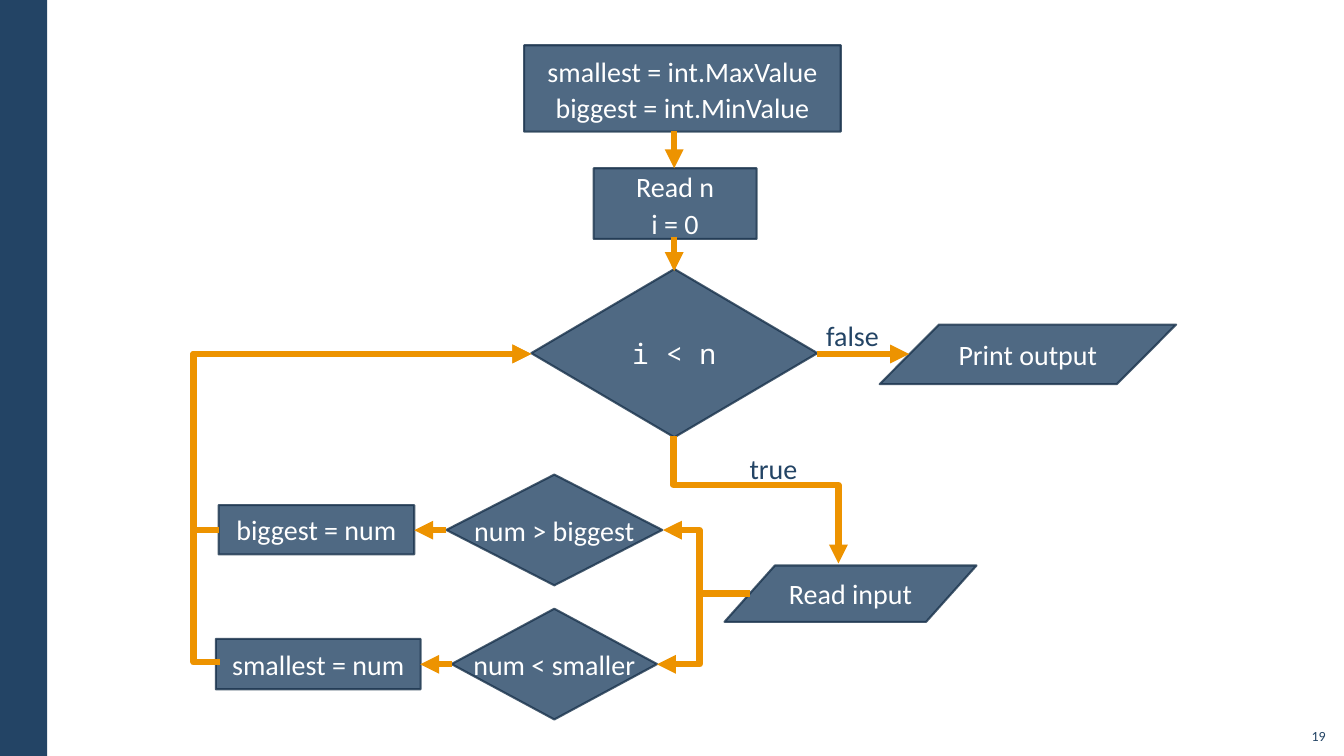
from lxml.etree import SubElement
from pptx import Presentation
from pptx.dml.color import RGBColor
from pptx.enum.shapes import MSO_CONNECTOR, MSO_SHAPE
from pptx.enum.text import MSO_ANCHOR, PP_ALIGN
from pptx.oxml.ns import qn
from pptx.util import Cm, Pt

COLORS = {"navy": "234465", "outline": "1A334C", "arrow": "ED9300", "white": "FFFFFF"}
FONT = "Calibri"
MONO = "Noto Sans Mono"

# kind, left, top, width, height, lines, font, line spacing
NODES = [
    (MSO_SHAPE.RECTANGLE, 13.21, 1.14, 7.98, 2.18,
     ["smallest = int.MaxValue", "biggest = int.MinValue"], FONT, 1.06),
    (MSO_SHAPE.RECTANGLE, 14.96, 4.24, 4.11, 1.78, ["Read n", "i = 0"], FONT, 1.1),
    (MSO_SHAPE.FLOWCHART_DECISION, 13.39, 6.78, 7.21, 4.24, ["i < n"], MONO, 1),
    (MSO_SHAPE.FLOWCHART_DATA, 22.17, 8.18, 7.47, 1.5, ["Print output"], FONT, 1),
    (MSO_SHAPE.FLOWCHART_DATA, 18.26, 14.25, 6.35, 1.42, ["Read input"], FONT, 1),
    (MSO_SHAPE.FLOWCHART_DECISION, 11.25, 11.96, 5.44, 2.79, ["num > biggest"], FONT, 1),
    (MSO_SHAPE.FLOWCHART_DECISION, 11.38, 15.34, 5.18, 2.79, ["num < smaller"], FONT, 1),
    (MSO_SHAPE.FLOWCHART_PROCESS, 5.51, 12.73, 4.93, 1.24, ["biggest = num"], FONT, 1),
    (MSO_SHAPE.FLOWCHART_PROCESS, 5.44, 16.1, 5.16, 1.27, ["smallest = num"], FONT, 1),
]

# start x, start y, end x, end y
STRAIGHT_ARROWS = [
    (16.99, 3.3, 16.99, 4.24),
    (16.99, 5.97, 16.99, 6.83),
    (20.6, 8.92, 22.91, 8.92),
    (11.25, 13.36, 10.44, 13.36),
    (11.38, 16.74, 10.59, 16.74),
]

# start x, start y, end x, end y, x of the vertical part
SIDE_ARROWS = [
    (18.9, 14.96, 16.71, 13.36, 17.63),
    (18.9, 14.96, 16.56, 16.74, 17.63),
    (5.51, 13.36, 13.39, 8.92, 4.88),
    (5.54, 16.69, 13.39, 8.92, 4.88),
]


def color(name):
    return RGBColor.from_string(COLORS[name])


def apply_format(target, values):
    for name, value in values.items():
        setattr(target, name, value)


def write_lines(frame, lines, color_name, align, size=20, font=FONT, spacing=1.0):
    for index, line in enumerate(lines):
        paragraph = frame.paragraphs[0] if index == 0 else frame.add_paragraph()
        paragraph.text = line
        apply_format(paragraph, {"alignment": align, "line_spacing": spacing})
        apply_format(paragraph.font, {"name": font, "size": Pt(size)})
        paragraph.font.color.rgb = color(color_name)


def add_filled_shape(slide, kind, left, top, width, height):
    shape = slide.shapes.add_shape(kind, Cm(left), Cm(top), Cm(width), Cm(height))
    shape.shadow.inherit = False
    shape.fill.solid()
    shape.fill.fore_color.rgb = color("navy")
    shape.line.fill.background()
    return shape


def add_node(slide, kind, left, top, width, height, lines, font, spacing):
    shape = add_filled_shape(slide, kind, left, top, width, height)
    shape.line.color.rgb = color("outline")
    shape.line.width = Pt(1.5)
    # Fill and outline are 80 % opaque
    for rgb in list(shape._element.spPr.iter(qn("a:srgbClr"))):
        SubElement(rgb, qn("a:alpha"), val="80000")
    apply_format(shape.text_frame, {
        "word_wrap": False, "vertical_anchor": MSO_ANCHOR.MIDDLE,
        "margin_left": 0, "margin_right": 0, "margin_top": 0, "margin_bottom": 0})
    write_lines(shape.text_frame, lines, "white", PP_ALIGN.CENTER,
                font=font, spacing=spacing)


def add_arrow(slide, kind, x1, y1, x2, y2, bend=None):
    connector = slide.shapes.add_connector(kind, Cm(x1), Cm(y1), Cm(x2), Cm(y2))
    connector.line.color.rgb = color("arrow")
    connector.line.width = Pt(4.5)
    properties = connector._element.spPr
    SubElement(properties.find(qn("a:ln")), qn("a:tailEnd"), type="triangle")
    SubElement(properties, qn("a:effectLst"))
    if bend is not None:
        guides = properties.find(qn("a:prstGeom")).get_or_add_avLst()
        SubElement(guides, qn("a:gd"), name="adj1", fmla=f"val {round(bend * 100000)}")
    return connector


def add_side_arrow(slide, x1, y1, x2, y2, bend_x):
    add_arrow(slide, MSO_CONNECTOR.ELBOW, x1, y1, x2, y2, (bend_x - x1) / (x2 - x1))


def add_down_arrow(slide, x1, y1, x2, y2, bend_y):
    # An elbow that leaves downwards is a sideways one turned by 270 degrees
    center_x, center_y = (x1 + x2) / 2, (y1 + y2) / 2
    half_width, half_height = (y2 - y1) / 2, (x2 - x1) / 2
    connector = add_arrow(
        slide, MSO_CONNECTOR.ELBOW,
        center_x + half_width, center_y - half_height,
        center_x - half_width, center_y + half_height,
        (bend_y - y1) / (y2 - y1))
    connector._element.spPr.find(qn("a:xfrm")).set("rot", "16200000")


def add_label(slide, left, top, width, height, text, align=PP_ALIGN.LEFT,
              size=20, spacing=1.1, **frame_format):
    box = slide.shapes.add_textbox(Cm(left), Cm(top), Cm(width), Cm(height))
    apply_format(box.text_frame, frame_format)
    write_lines(box.text_frame, [text], "navy", align, size=size, spacing=spacing)


def main():
    presentation = Presentation()
    presentation.slide_width, presentation.slide_height = Cm(33.87), Cm(19.05)
    slide = presentation.slides.add_slide(presentation.slide_layouts[6])

    # Side bar
    add_filled_shape(slide, MSO_SHAPE.RECTANGLE, 0, 0, 1.19, 19.05)

    # Flowchart steps
    for node in NODES:
        add_node(slide, *node)

    # Arrows
    for points in STRAIGHT_ARROWS:
        add_arrow(slide, MSO_CONNECTOR.STRAIGHT, *points)
    for points in SIDE_ARROWS:
        add_side_arrow(slide, *points)
    add_down_arrow(slide, 16.97, 11, 21.13, 14.2, 12.22)

    # Branch labels
    margins = {"word_wrap": False, "margin_left": Cm(0.4), "margin_right": Cm(0.4),
               "margin_top": Cm(0.3), "margin_bottom": Cm(0.3)}
    add_label(slide, 18.49, 11, 2.03, 1.5, "true", **margins)
    add_label(slide, 20.42, 7.65, 2.16, 1.5, "false", **margins)

    # Slide number
    add_label(slide, 32.64, 18.08, 1.02, 0.81, "19", PP_ALIGN.RIGHT, 10, 1,
              word_wrap=True, vertical_anchor=MSO_ANCHOR.BOTTOM)

    presentation.save("out.pptx")


if __name__ == "__main__":
    main()
